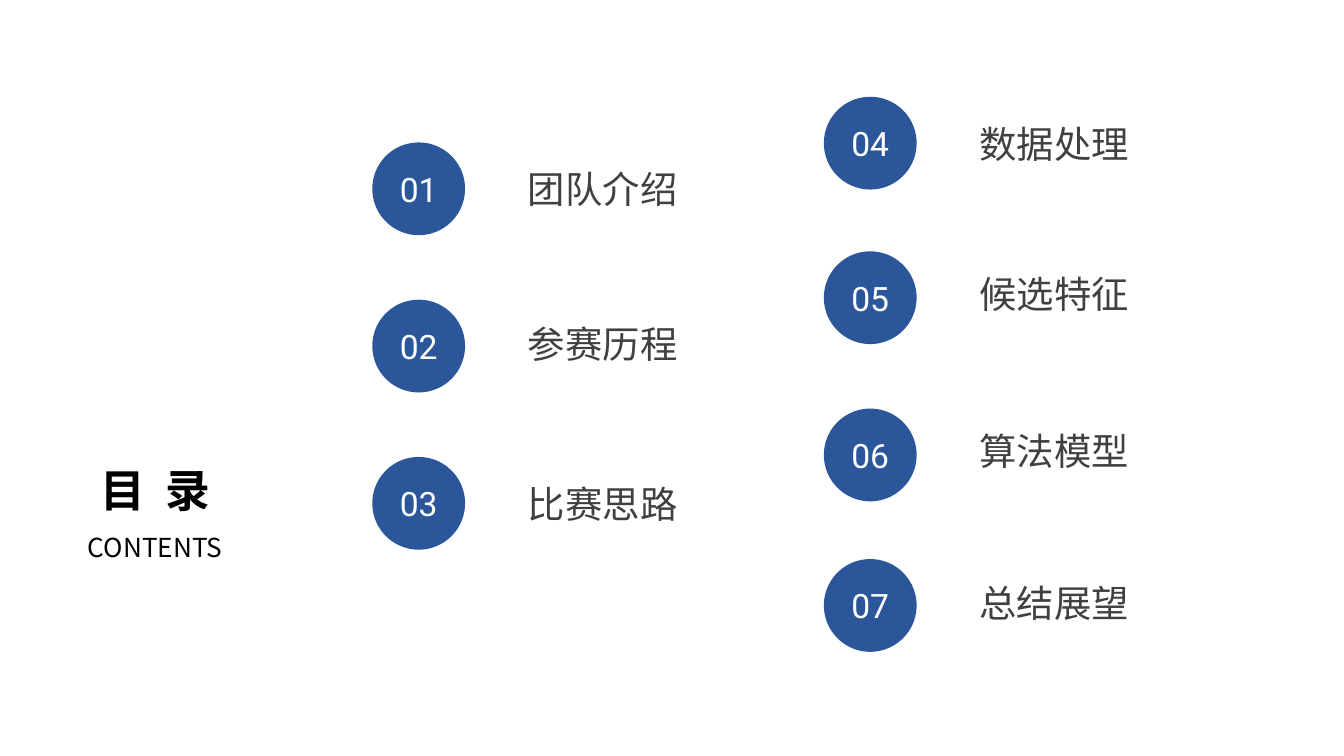
from pptx import Presentation
from pptx.dml.color import RGBColor
from pptx.enum.shapes import MSO_SHAPE
from pptx.enum.text import MSO_ANCHOR, PP_ALIGN
from pptx.oxml.ns import qn
from pptx.util import Inches, Pt

CJK_FONT = "Noto Sans CJK SC"
BLUE, GREY, BLACK, WHITE = "2B579A", "404040", "000000", "FFFFFF"
CIRCLE = 0.69
LABEL_DX, LABEL_W, LABEL_H = 1.06, 1.31, 0.43

# Each entry: title, circle top, label offset below the circle top
LEFT_ITEMS = [("团队介绍", 1.06, 0.13), ("参赛历程", 2.23, 0.11), ("比赛思路", 3.4, 0.13)]
RIGHT_ITEMS = [("数据处理", 0.72, 0.13), ("候选特征", 1.87, 0.1),
               ("算法模型", 3.04, 0.1), ("总结展望", 4.16, 0.11)]


def rgb(value):
    return RGBColor.from_string(value)


def format_run(r, size, font, color, bold=False):
    r.font.size = Pt(size)
    r.font.name = font
    r.font.bold = bold
    r.font.color.rgb = rgb(color)
    ea = r.font._element.makeelement(qn("a:ea"), {"typeface": CJK_FONT})
    r.font._element.find(qn("a:latin")).addnext(ea)


def add_text_box(s, x, y, w, h):
    tf = s.shapes.add_textbox(Inches(x), Inches(y), Inches(w), Inches(h)).text_frame
    tf.word_wrap = False
    return tf


def add_heading(s, x, y, w, h):
    tf = add_text_box(s, x, y, w, h)
    tf.text = "目 录\nCONTENTS"
    for p, size, bold in zip(tf.paragraphs, (24, 14), (True, False)):
        p.alignment = PP_ALIGN.CENTER
        p.line_spacing = 1.5
        format_run(p.runs[0], size, CJK_FONT, BLACK, bold)
    # Letter spacing widens the gap between the two characters
    tf.paragraphs[0].runs[0].font._element.set("spc", "270")


def add_item(s, x, y, number, title, label_dy):
    # Numbered circle
    sp = s.shapes.add_shape(MSO_SHAPE.OVAL, Inches(x), Inches(y),
                            Inches(CIRCLE), Inches(CIRCLE))
    sp.shadow.inherit = False
    sp.fill.solid()
    sp.fill.fore_color.rgb = rgb(BLUE)
    sp.line.fill.background()
    tf = sp.text_frame
    tf.vertical_anchor = MSO_ANCHOR.MIDDLE
    tf.text = f"{number:02d}"
    p = tf.paragraphs[0]
    p.alignment = PP_ALIGN.CENTER
    format_run(p.runs[0], 18, "Roboto", WHITE)

    # Section title
    tf = add_text_box(s, x + LABEL_DX, y + label_dy, LABEL_W, LABEL_H)
    tf.text = title
    format_run(tf.paragraphs[0].runs[0], 20, "Arial", GREY)


def add_column(s, x, items, first):
    for number, (title, y, label_dy) in enumerate(items, first):
        add_item(s, x, y, number, title, label_dy)


def main():
    prs = Presentation()
    # Widescreen, 16:9
    prs.slide_width = Inches(10)
    prs.slide_height = prs.slide_width * 9 // 16
    s = prs.slides.add_slide(prs.slide_layouts[6])
    add_heading(s, 0.54, 3.19, 1.23, 0.85)
    add_column(s, 2.77, LEFT_ITEMS, 1)
    add_column(s, 6.13, RIGHT_ITEMS, len(LEFT_ITEMS) + 1)
    prs.save("out.pptx")


if __name__ == "__main__":
    main()
